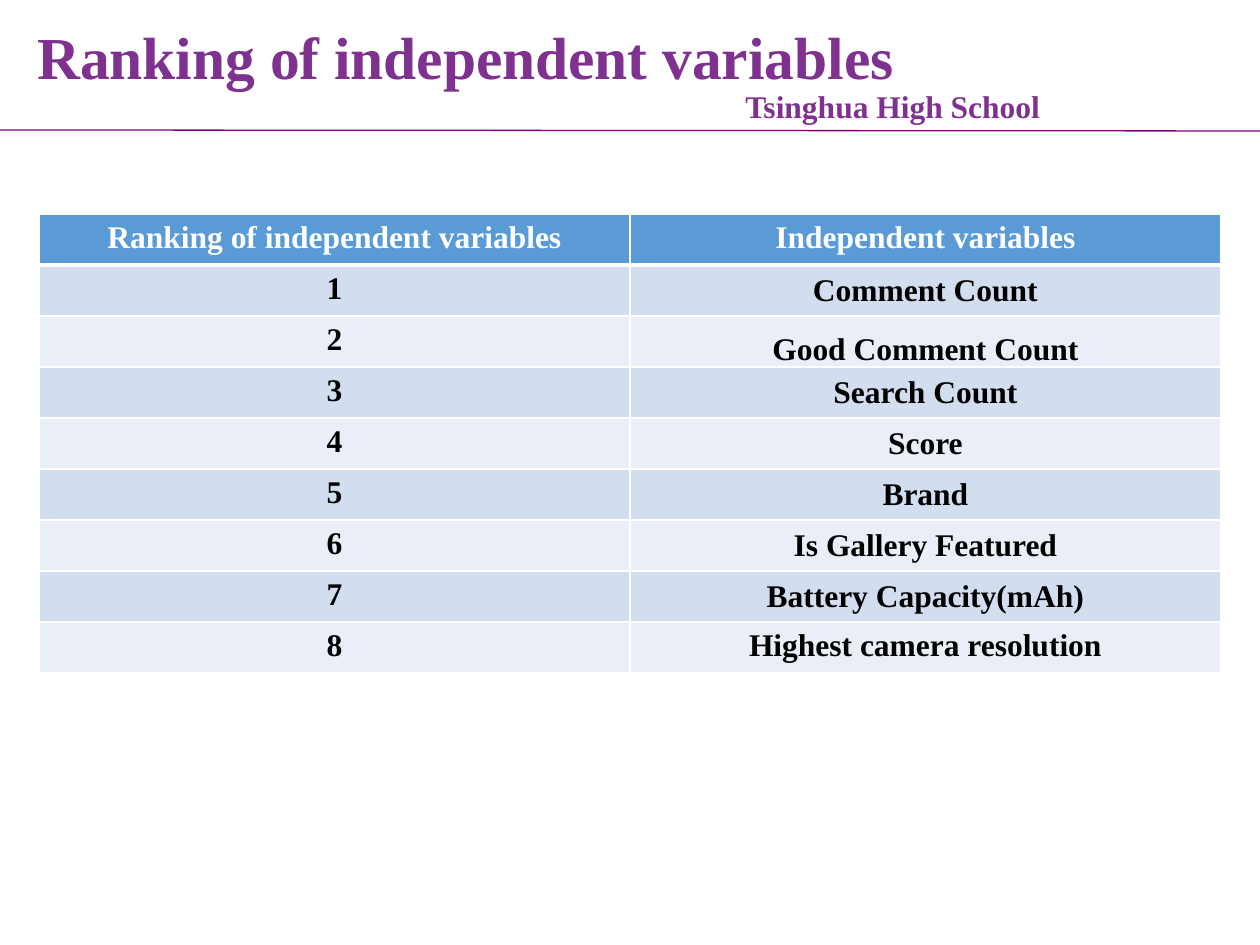
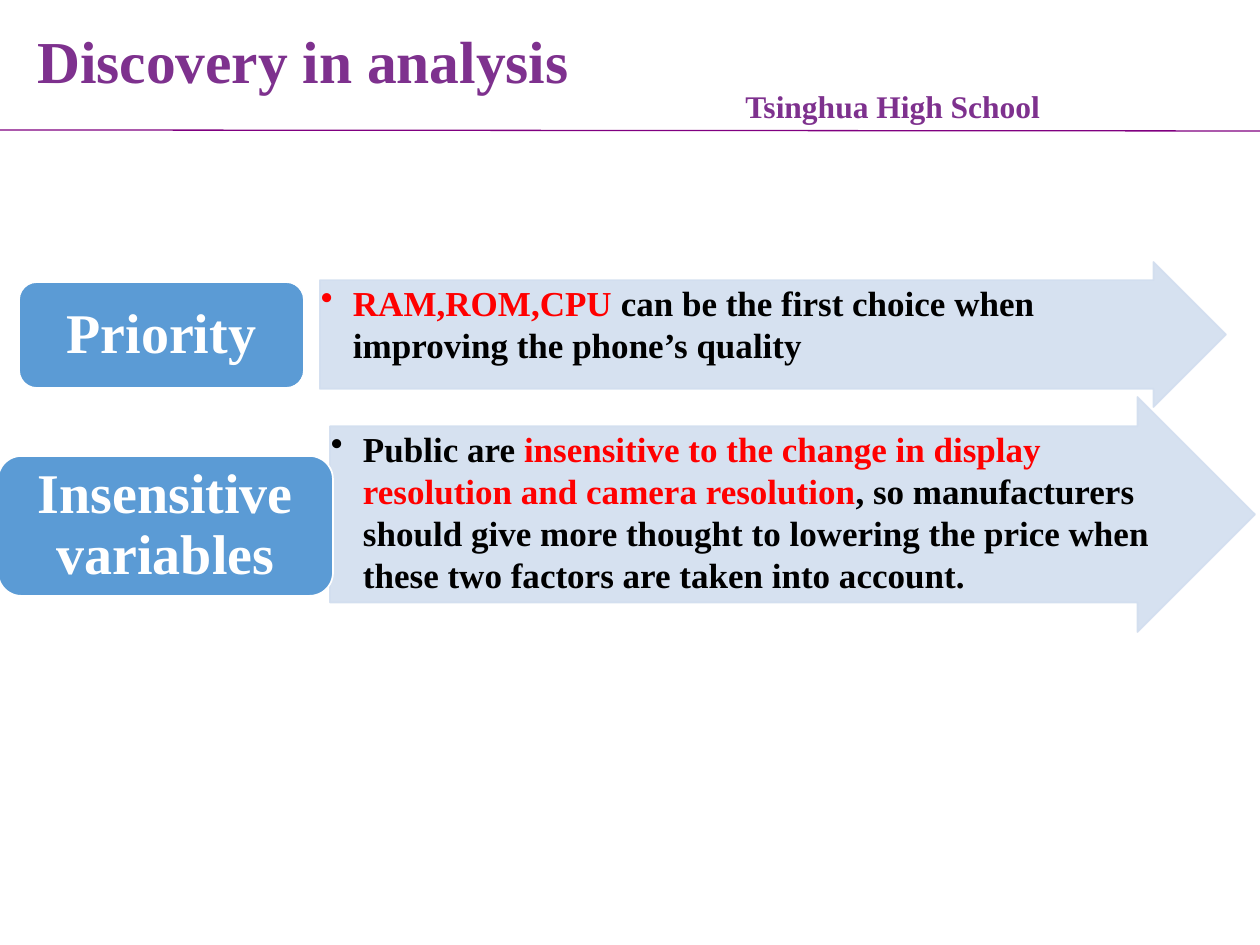
from lxml.etree import SubElement
from pptx import Presentation
from pptx.dml.color import RGBColor
from pptx.enum.shapes import MSO_CONNECTOR, MSO_SHAPE
from pptx.enum.text import MSO_ANCHOR as Anchor, PP_ALIGN as Align
from pptx.oxml.ns import qn
from pptx.util import Pt

EMU_PER_PX = 914400 / 126
FONT = "Times New Roman"
COLORS = {
    "title": "7E318E", "rule": "800080", "blue": "5B9BD5", "band": "D2DEEF",
    "pale": "EAEFF7", "white": "FFFFFF", "black": "000000", "red": "FF0000",
}

SCHOOL = "Tsinghua High School"
RANKING_TITLE = "Ranking of independent variables"
DISCOVERY_TITLE = "Discovery in analysis"
HEADER = (RANKING_TITLE, "Independent variables")
VARIABLES = [
    ("Comment Count", Anchor.MIDDLE),
    ("Good Comment Count", Anchor.BOTTOM),
    ("Search Count", Anchor.MIDDLE),
    ("Score", Anchor.MIDDLE),
    ("Brand", Anchor.MIDDLE),
    ("Is Gallery Featured", Anchor.MIDDLE),
    ("Battery Capacity(mAh)", Anchor.MIDDLE),
    ("Highest camera resolution", None),
]
FINDINGS = [
    {
        "label": "Priority",
        "label_box": (19, 282, 285, 106),
        "arrow_box": (320, 262, 906, 145),
        "text": [
            ("RAM,ROM,CPU ", "red"),
            ("can be the first choice when improving the phone’s quality", "black"),
        ],
    },
    {
        "label": "Insensitive variables",
        "label_box": (-2, 456, 335, 140),
        "arrow_box": (330, 397, 925, 235),
        "text": [
            ("Public are ", "black"),
            ("insensitive to the change in display resolution and camera resolution", "red"),
            (", so manufacturers should give more thought to lowering the price "
             "when these two factors are taken into account.", "black"),
        ],
    },
]


def px(length):
    return round(length * EMU_PER_PX)


def place(box):
    return [px(length) for length in box]


def rgb(name):
    return RGBColor.from_string(COLORS[name])


def style(para, size, color=None, align=None):
    para.font.name, para.font.size, para.font.bold = FONT, Pt(size), True
    if color:
        para.font.color.rgb = rgb(color)
    if align:
        para.alignment = align


def set_insets(target, across, down):
    target.margin_left = target.margin_right = px(across)
    target.margin_top = target.margin_bottom = px(down)


def add_text(page, box, text, size, wrap=True):
    frame = page.shapes.add_textbox(*place(box)).text_frame
    frame.word_wrap = wrap
    para = frame.paragraphs[0]
    para.text = text
    style(para, size, "title")
    return frame


def add_page(deck, title, title_box, spacing):
    page = deck.slides.add_slide(deck.slide_layouts[6])
    rule = page.shapes.add_connector(MSO_CONNECTOR.STRAIGHT, *place((0, 130, 1260, 131)))
    rule.line.color.rgb = rgb("rule")
    rule.line.width = Pt(0.75)
    SubElement(rule._element.spPr, qn("a:effectLst"))
    add_text(page, (733, 81, 323, 50), SCHOOL, 18, wrap=False)
    frame = add_text(page, title_box, title, 34)
    frame.vertical_anchor = Anchor.MIDDLE
    frame.paragraphs[0].line_spacing = spacing
    return page


def set_borders(cell, bottom):
    props = cell._tc.get_or_add_tcPr()
    for side, width in (("L", 1), ("R", 1), ("T", 1), ("B", bottom)):
        border = SubElement(props, qn(f"a:ln{side}"), w=str(Pt(width)))
        fill = SubElement(border, qn("a:solidFill"))
        SubElement(fill, qn("a:srgbClr"), val=COLORS["white"])


def fill_cell(cell, text, fill, color, bottom=1, anchor=None):
    set_borders(cell, bottom)
    cell.fill.solid()
    cell.fill.fore_color.rgb = rgb(fill)
    if anchor is not None:
        cell.vertical_anchor = anchor
        set_insets(cell, 9, 0)
    para = cell.text_frame.paragraphs[0]
    para.text = text
    style(para, 18, color, Align.CENTER)


def add_ranking(page):
    count = len(VARIABLES) + 1
    row_height = 51
    box = (39, 214, 1182, row_height * count)
    table = page.shapes.add_table(count, 2, *place(box)).table
    for row in table.rows:
        row.height = px(row_height)
    for column, text in enumerate(HEADER):
        fill_cell(table.cell(0, column), text, "blue", "white", bottom=3)
    for rank, (name, anchor) in enumerate(VARIABLES, 1):
        fill = "band" if rank % 2 else "pale"
        fill_cell(table.cell(rank, 0), str(rank), fill, "black")
        fill_cell(table.cell(rank, 1), name, fill, "black", anchor=anchor)


def add_block(page, kind, box, fill, line, insets, anchor):
    shape = page.shapes.add_shape(kind, *place(box))
    shape.shadow.inherit = False
    shape.fill.solid()
    shape.fill.fore_color.rgb = rgb(fill)
    shape.line.color.rgb = rgb(line)
    shape.line.width = Pt(1)
    frame = shape.text_frame
    frame.word_wrap = True
    frame.vertical_anchor = anchor
    set_insets(frame, *insets)
    return shape


def make_translucent(shape, percent):
    for color in shape._element.spPr.iter(qn("a:srgbClr")):
        SubElement(color, qn("a:alpha"), val=str(percent * 1000))


def add_bullet(para, indent):
    props = para._p.get_or_add_pPr()
    props.set("marL", str(px(indent)))
    props.set("indent", str(-px(indent)))
    SubElement(props, qn("a:buChar"), char="•")


def add_finding(page, finding):
    arrow = add_block(page, MSO_SHAPE.RIGHT_ARROW, finding["arrow_box"],
                      "band", "band", (1, 1), Anchor.TOP)
    arrow.adjustments[0] = 0.75
    make_translucent(arrow, 90)
    para = arrow.text_frame.paragraphs[0]
    style(para, 20, align=Align.LEFT)
    add_bullet(para, 32)
    for text, color in finding["text"]:
        span = para.add_run()
        span.text = text
        span.font.color.rgb = rgb(color)

    label = add_block(page, MSO_SHAPE.ROUNDED_RECTANGLE, finding["label_box"],
                      "blue", "white", (16, 9), Anchor.MIDDLE)
    para = label.text_frame.paragraphs[0]
    para.text = finding["label"]
    para.line_spacing = 0.9
    style(para, 32, "white", Align.CENTER)


def main():
    deck = Presentation()
    deck.slide_width, deck.slide_height = px(1260), px(945)
    add_ranking(add_page(deck, RANKING_TITLE, (25, -18, 1042, 126), 1.3))
    discovery = add_page(deck, DISCOVERY_TITLE, (25, -15, 1134, 158), 0.9)
    for finding in FINDINGS:
        add_finding(discovery, finding)
    deck.save("out.pptx")


if __name__ == "__main__":
    main()
